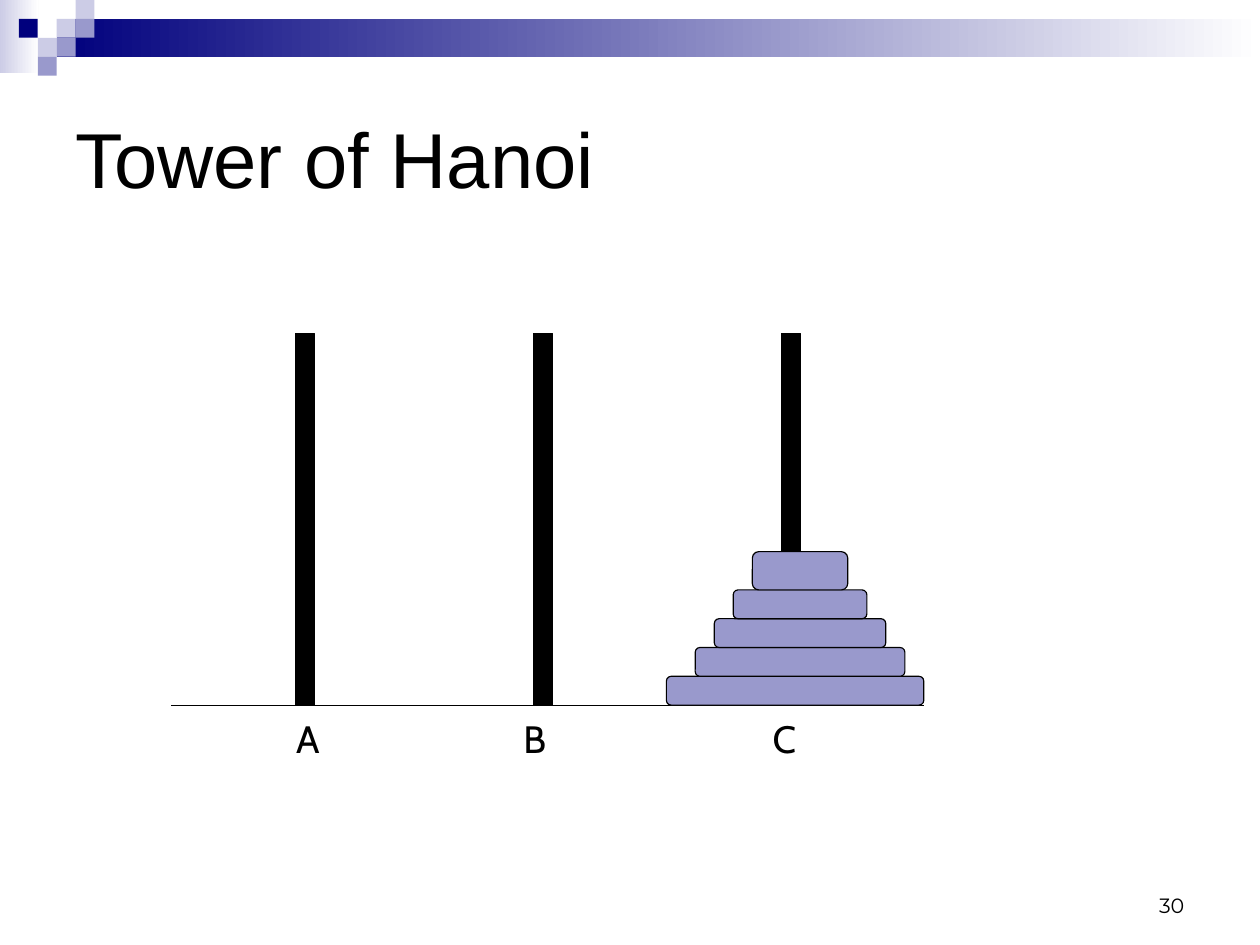
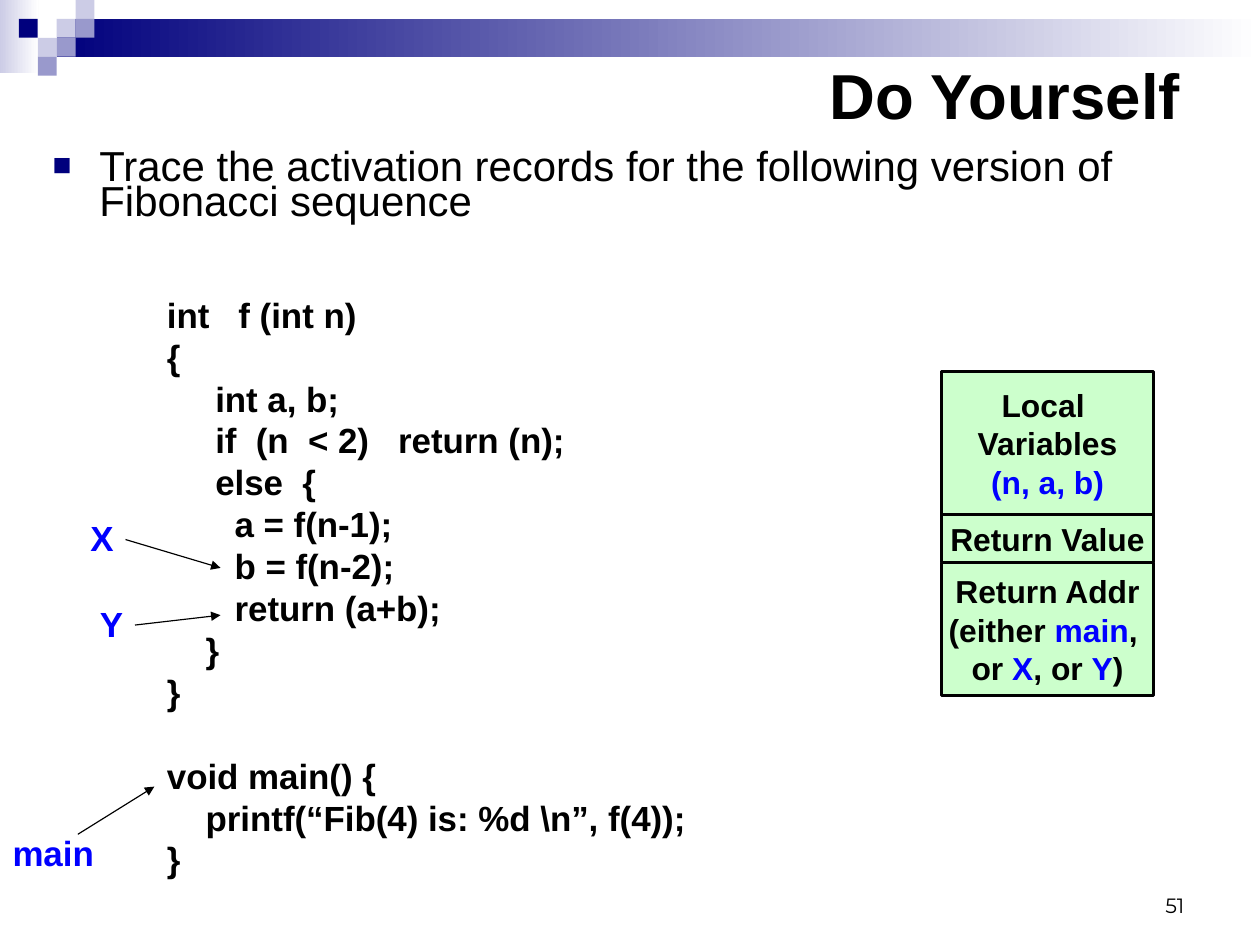
from dataclasses import dataclass

from lxml.etree import SubElement
from pptx import Presentation
from pptx.dml.color import RGBColor
from pptx.enum.shapes import MSO_CONNECTOR as Connector, MSO_SHAPE as Shape
from pptx.enum.text import MSO_ANCHOR as Anchor, PP_ALIGN as Align
from pptx.oxml.ns import qn
from pptx.util import Cm, Pt


@dataclass(frozen=True)
class Theme:
    navy: str = "00007D"
    lilac: str = "9999CC"
    pale: str = "CCCCE6"
    white: str = "FFFFFF"
    black: str = "000000"
    blue: str = "0000FF"
    green: str = "CCFFCC"
    font: str = "Arial"
    label_font: str = "Cabin"
    number_font: str = "Montserrat"
    title: float = 49
    bold_title: float = 40
    body: float = 26.4
    label: float = 24
    code: float = 22
    record: float = 20
    number: float = 13
    thin: float = 0.75
    thick: float = 1.75
    leading: float = 1.2
    tight: float = 0.84


THEME = Theme()
WIDTH, HEIGHT = 28, 21
TILE = 0.42
TILES = [
    (3, 1, THEME.pale), (4, 0, THEME.pale), (4, 1, THEME.lilac),
    (2, 2, THEME.pale), (1, 1, THEME.navy), (3, 2, THEME.lilac),
    (2, 3, THEME.lilac),
]

PEGS = [("A", 6.56, 6.3), ("B", 11.85, 11.35), ("C", 17.36, 16.89)]
PEG_TOP, PEG_WIDTH, BASE = 7.41, 0.43, 15.67
BASE_LEFT, BASE_RIGHT = 3.81, 20.53
DISKS = [
    (17.67, 5.72, 0.64), (17.78, 4.66, 0.64), (17.78, 3.81, 0.64),
    (17.78, 2.97, 0.64), (17.78, 2.12, 0.85),
]

TASK = "Trace the activation records for the following version of Fibonacci sequence"
FUNCTION = [
    "int   f (int n)",
    "{",
    "     int a, b;",
    "     if  (n  < 2)   return (n);",
    "     else  {",
    "       a = f(n-1);",
    "       b = f(n-2);",
    "       return (a+b);",
    "    }",
    "}",
]
MAIN = [
    "void main() {",
    "    printf(“Fib(4) is: %d \\n”, f(4));",
    "}",
]
RECORD_LEFT, RECORD_TOP, RECORD_WIDTH = 20.93, 8.26, 4.7
RECORD = [
    (3.18, ["Local ", "Variables", [("(n, a, b)", THEME.blue)]]),
    (1.07, ["Return Value"]),
    (2.95, [
        "Return Addr",
        [("(either ", None), ("main", THEME.blue), (", ", None)],
        [("or ", None), ("X", THEME.blue), (", or ", None), ("Y", THEME.blue), (")", None)],
    ]),
]
CALLERS = [
    ("X", (1.73, 11.35, 1.4), (2.79, 11.99, 4.9, 12.62)),
    ("Y", (1.94, 13.26, 1.4), (3, 13.89, 4.9, 13.67)),
    ("main", (0, 18.34, 3.3), (1.73, 18.54, 3.43, 17.48)),
]


def rgb(color):
    return RGBColor.from_string(color)


def add_block(slide, kind, box, fill, line=None):
    shape = slide.shapes.add_shape(kind, *map(Cm, box))
    shape.shadow.inherit = False
    if isinstance(fill, tuple):
        shape.fill.gradient()
        shape.fill.gradient_angle = 0
        for stop, color in zip(shape.fill.gradient_stops, fill):
            stop.color.rgb = rgb(color)
    else:
        shape.fill.solid()
        shape.fill.fore_color.rgb = rgb(fill)
    if line:
        shape.line.color.rgb = rgb(THEME.black)
        shape.line.width = Pt(line)
    else:
        shape.line.fill.background()
    return shape


def write(shape, lines, size, font=THEME.font, color=THEME.black, bold=False,
          align=Align.LEFT, anchor=Anchor.TOP, wrap=True, leading=THEME.leading):
    frame = shape.text_frame
    frame.word_wrap = wrap
    frame.vertical_anchor = anchor
    frame.margin_left = frame.margin_right = Cm(0.28)
    frame.margin_top = frame.margin_bottom = Cm(0.14)
    for index, line in enumerate(lines):
        paragraph = frame.add_paragraph() if index else frame.paragraphs[0]
        paragraph.alignment = align
        if leading:
            paragraph.line_spacing = Pt(round(size * leading, 1))
        paragraph.font.size = Pt(size)
        paragraph.font.name = font
        paragraph.font.bold = bold
        paragraph.font.color.rgb = rgb(color)
        for text, accent in [(line, None)] if isinstance(line, str) else line:
            run = paragraph.add_run()
            run.text = text
            if accent:
                run.font.color.rgb = rgb(accent)
    return frame.paragraphs


def add_text(slide, box, lines, size, **style):
    return write(slide.shapes.add_textbox(*map(Cm, box)), lines, size, **style)


def add_line(slide, ends, arrow=False):
    line = slide.shapes.add_connector(Connector.STRAIGHT, *map(Cm, ends))
    line.line.color.rgb = rgb(THEME.black)
    line.line.width = Pt(THEME.thin)
    properties = line._element.spPr
    if arrow:
        SubElement(properties.find(qn("a:ln")), qn("a:tailEnd"), type="triangle")
    SubElement(properties, qn("a:effectLst"))


def add_bullet(paragraph):
    properties = paragraph._p.get_or_add_pPr()
    properties.set("marL", str(Cm(1.04)))
    properties.set("indent", str(Cm(-1.04)))
    bullet_color = SubElement(properties, qn("a:buClr"))
    SubElement(bullet_color, qn("a:srgbClr"), val=THEME.navy)
    SubElement(properties, qn("a:buSzPct"), val="75000")
    SubElement(properties, qn("a:buFont"), typeface=THEME.font)
    SubElement(properties, qn("a:buChar"), char="■")


def add_slide(presentation, number, title, title_at, size, **style):
    slide = presentation.slides.add_slide(presentation.slide_layouts[6])
    add_block(slide, Shape.RECTANGLE, (0, 0, 0.86, 1.63), (THEME.pale, THEME.white))
    add_block(slide, Shape.RECTANGLE, (3 * TILE, TILE, WIDTH - 3 * TILE, 2 * TILE),
              (THEME.navy, THEME.white))
    for column, row, color in TILES:
        add_block(slide, Shape.RECTANGLE, (column * TILE, row * TILE, TILE, TILE), color)
    add_text(slide, (20.07, 19.13, 6.53, 1.4), [number], THEME.number,
             font=THEME.number_font, align=Align.RIGHT, anchor=Anchor.BOTTOM, leading=None)
    add_text(slide, (*title_at, 25.2, 4.19), [title], size, anchor=Anchor.MIDDLE, **style)
    return slide


def build_tower(presentation):
    slide = add_slide(presentation, "30", "Tower of Hanoi", (1.4, 1.4), THEME.title)
    for name, left, label_left in PEGS:
        add_block(slide, Shape.RECTANGLE, (left, PEG_TOP, PEG_WIDTH, BASE - PEG_TOP),
                  THEME.black, THEME.thin)
        add_text(slide, (label_left, 15.75, 1.04, 1.27), [name], THEME.label,
                 font=THEME.label_font, wrap=False, leading=None)
    add_line(slide, (BASE_LEFT, BASE, BASE_RIGHT, BASE))
    top = BASE
    for center, width, height in DISKS:
        top -= height
        add_block(slide, Shape.ROUNDED_RECTANGLE, (center - width / 2, top, width, height),
                  THEME.lilac, THEME.thin)


def build_exercise(presentation):
    slide = add_slide(presentation, "51", "Do Yourself", (1.3, 0), THEME.bold_title,
                      bold=True, align=Align.RIGHT)
    task = slide.shapes.add_textbox(*map(Cm, (0.89, 3.3, 25.2, 1.98)))
    add_bullet(task.text_frame.paragraphs[0])
    write(task, [TASK], THEME.body, leading=THEME.tight)

    code = add_text(slide, (3.43, 6.38, 16.36, 13.31), FUNCTION + MAIN, THEME.code, bold=True)
    code[len(FUNCTION)].space_before = Pt(THEME.code * THEME.leading)

    top = RECORD_TOP
    for height, lines in RECORD:
        cell = add_block(slide, Shape.RECTANGLE, (RECORD_LEFT, top, RECORD_WIDTH, height),
                         THEME.green, THEME.thick)
        write(cell, lines, THEME.record, bold=True, align=Align.CENTER,
              anchor=Anchor.MIDDLE, wrap=False)
        top += height

    for name, (left, label_top, width), ends in CALLERS:
        add_text(slide, (left, label_top, width, 1.22), [name], THEME.code,
                 color=THEME.blue, bold=True)
        add_line(slide, ends, arrow=True)


def main():
    presentation = Presentation()
    presentation.slide_width, presentation.slide_height = Cm(WIDTH), Cm(HEIGHT)
    build_tower(presentation)
    build_exercise(presentation)
    presentation.save("out.pptx")


if __name__ == "__main__":
    main()
